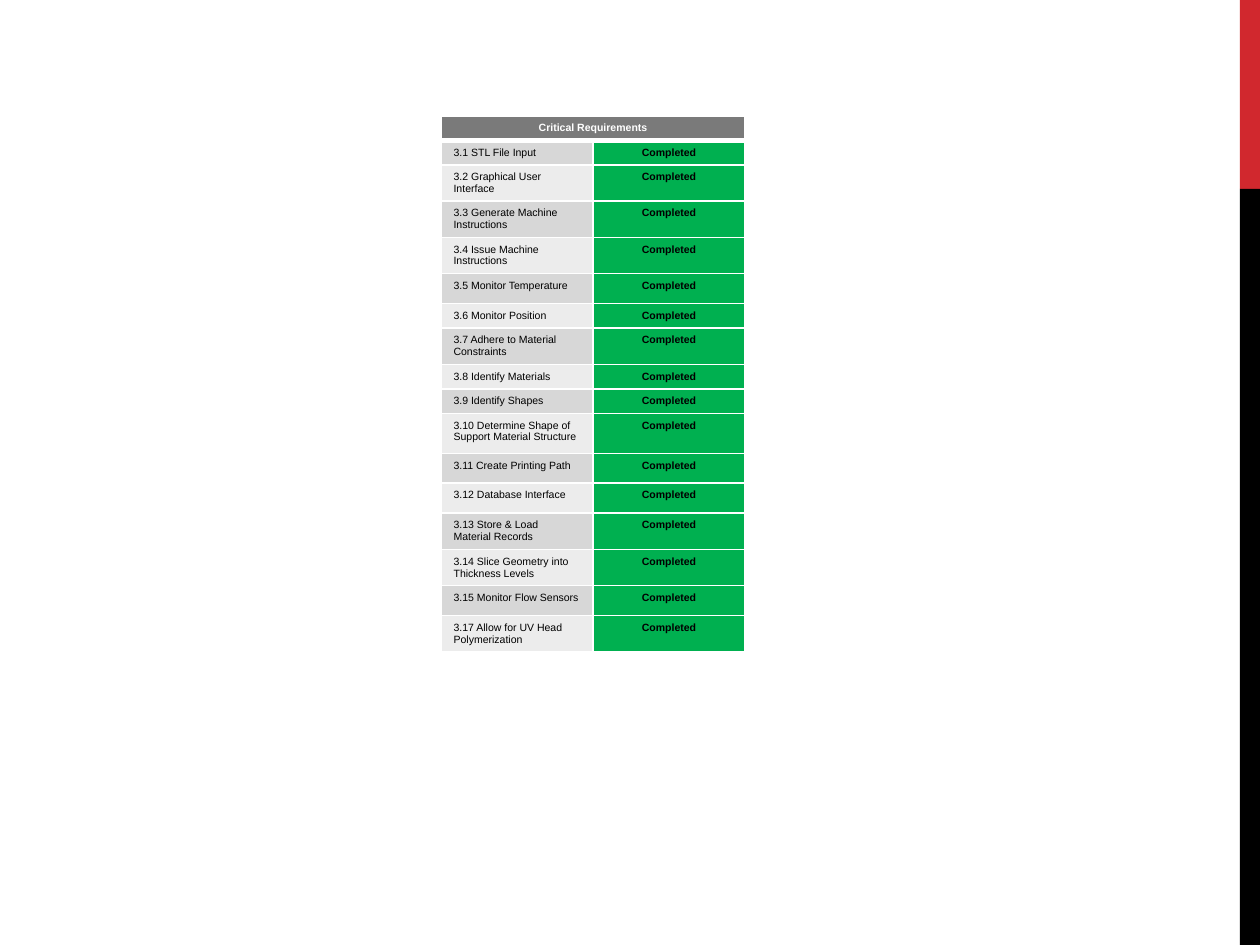
from copy import deepcopy

from lxml.etree import SubElement
from pptx import Presentation
from pptx.dml.color import RGBColor
from pptx.enum.shapes import MSO_SHAPE
from pptx.enum.text import PP_ALIGN
from pptx.oxml.ns import qn
from pptx.util import Emu, Pt

PX = 914400 // 126
COLORS = {
    "white": "FFFFFF",
    "black": "000000",
    "red": "D1282E",
    "header": "7A7A7A",
    "odd": "D7D7D7",
    "even": "ECECEC",
    "done": "00B050",
}
SHORT, MEDIUM, DOUBLE, TALL = 24, 30, 34, 40
REQUIREMENTS = [
    ("3.1 STL File Input", SHORT),
    ("3.2 Graphical User Interface", DOUBLE),
    ("3.3 Generate Machine Instructions", DOUBLE),
    ("3.4 Issue Machine Instructions", DOUBLE),
    ("3.5 Monitor Temperature", MEDIUM),
    ("3.6 Monitor Position", SHORT),
    ("3.7 Adhere to Material Constraints", DOUBLE),
    ("3.8 Identify Materials", SHORT),
    ("3.9 Identify Shapes", SHORT),
    ("3.10 Determine Shape of Support Material Structure", TALL),
    ("3.11 Create Printing Path", MEDIUM),
    ("3.12 Database Interface", MEDIUM),
    ("3.13 Store & Load \vMaterial Records", DOUBLE),
    ("3.14 Slice Geometry into Thickness Levels", DOUBLE),
    ("3.15 Monitor Flow Sensors", MEDIUM),
    ("3.17 Allow for UV Head Polymerization", DOUBLE),
]


def px(n):
    return Emu(n * PX)


def rgb(name):
    return RGBColor.from_string(COLORS[name])


class SlideBuilder:
    font = {"name": "Arial", "size": Pt(6)}

    def __init__(self, slide):
        self.s = slide

    def bar(self, x, y, w, h, color):
        sp = self.s.shapes.add_shape(MSO_SHAPE.RECTANGLE, px(x), px(y), px(w), px(h))
        sp.shadow.inherit = False
        sp.fill.solid()
        sp.fill.fore_color.rgb = rgb(color)
        sp.line.fill.background()

    def table(self, x, y, col_width, columns, heights):
        frame = self.s.shapes.add_table(len(heights), columns, px(x), px(y),
                                        px(col_width * columns), px(sum(heights)))
        tbl = frame.table
        for col in tbl.columns:
            col.width = px(col_width)
        for row, height in zip(tbl.rows, heights):
            row.height = px(height)
        return tbl

    def borders(self, cell, **widths):
        tcPr = cell._tc.get_or_add_tcPr()
        for side in "LRTB":
            ln = SubElement(tcPr, qn(f"a:ln{side}"), w=str(Pt(widths.get(side, 1))))
            fill = SubElement(ln, qn("a:solidFill"))
            SubElement(fill, qn("a:srgbClr"), val=COLORS["white"])

    def cell(self, cell, text, fill, color="black", bold=True,
             align=PP_ALIGN.CENTER, **widths):
        self.borders(cell, **widths)
        cell.fill.solid()
        cell.fill.fore_color.rgb = rgb(fill)
        p = cell.text_frame.paragraphs[0]
        p.text = text
        p.alignment = align
        for r in p.runs:
            for key, value in {**self.font, "bold": bold}.items():
                setattr(r.font, key, value)
            r.font.color.rgb = rgb(color)
        # Line breaks take the size of the text around them
        for br in p._p.findall(qn("a:br")):
            br.insert(0, deepcopy(p.runs[0]._r.rPr))


def main():
    prs = Presentation()
    prs.slide_width, prs.slide_height = px(1260), px(945)
    b = SlideBuilder(prs.slides.add_slide(prs.slide_layouts[6]))

    # Side bars
    b.bar(1240, 0, 20, 189, "red")
    b.bar(1240, 189, 20, 756, "black")

    # Requirements table
    tbl = b.table(441, 116, 152, 2, [SHORT] + [h for _, h in REQUIREMENTS])
    tbl.cell(0, 0).merge(tbl.cell(0, 1))
    b.cell(tbl.cell(0, 0), "Critical Requirements", "header", "white", B=3)
    b.borders(tbl.cell(0, 1), B=3)
    for i, (name, _) in enumerate(REQUIREMENTS, 1):
        top = 3 if i == 1 else 1
        b.cell(tbl.cell(i, 0), name, "odd" if i % 2 else "even",
               bold=False, align=PP_ALIGN.LEFT, T=top)
        b.cell(tbl.cell(i, 1), "Completed", "done", T=top)

    prs.save("out.pptx")


if __name__ == "__main__":
    main()
